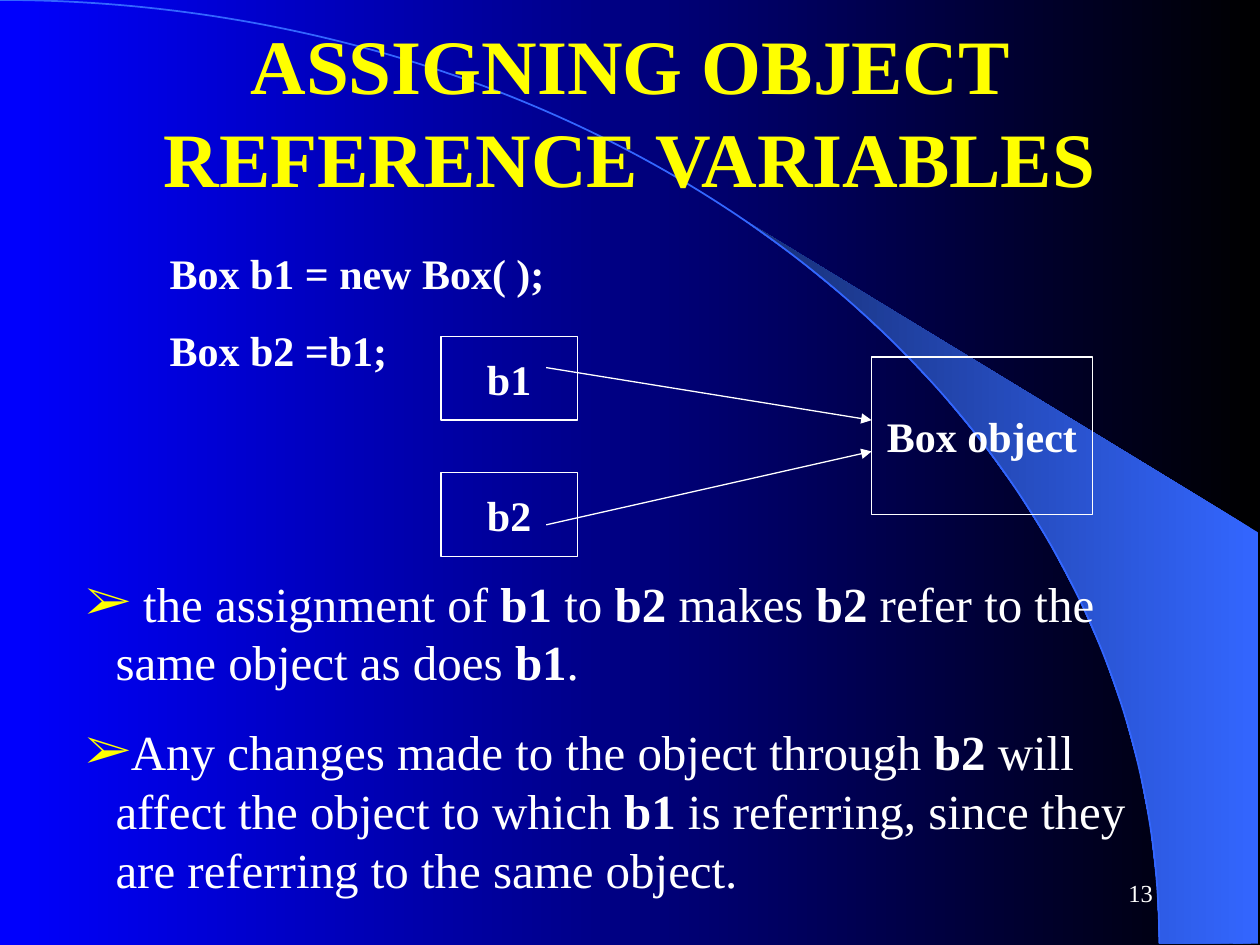
from dataclasses import dataclass
from math import cos, radians, sin

from lxml.etree import SubElement
from pptx import Presentation
from pptx.dml.color import RGBColor
from pptx.enum.shapes import MSO_CONNECTOR, MSO_SHAPE
from pptx.enum.text import MSO_ANCHOR, PP_ALIGN
from pptx.oxml.ns import qn
from pptx.util import Cm, Pt


@dataclass(frozen=True)
class Theme:
    font: str = "Times New Roman"
    black: RGBColor = RGBColor(0x00, 0x00, 0x00)
    blue: RGBColor = RGBColor(0x00, 0x00, 0xFF)
    arc: RGBColor = RGBColor(0x33, 0x66, 0xFF)
    arc_dark: RGBColor = RGBColor(0x17, 0x2F, 0x75)
    yellow: RGBColor = RGBColor(0xFF, 0xFF, 0x00)
    white: RGBColor = RGBColor(0xFF, 0xFF, 0xFF)
    title: Pt = Pt(44)
    body: Pt = Pt(28)
    code: Pt = Pt(24)
    number: Pt = Pt(14)
    thin: Pt = Pt(0.75)


theme = Theme()


def write_text(shape, paragraphs, size, color=theme.white, bold=False, align=PP_ALIGN.LEFT,
               anchor=MSO_ANCHOR.TOP, wrap=True, before=0, bullet=None):
    """Fill a shape with paragraphs; parts between asterisks are bold."""
    frame = shape.text_frame
    frame.word_wrap = wrap
    frame.vertical_anchor = anchor
    for index, text in enumerate(paragraphs):
        para = frame.add_paragraph() if index else frame.paragraphs[0]
        para.alignment = align
        para.space_before = Pt(before)
        if bullet:
            properties = para._p.get_or_add_pPr()
            properties.set("marL", str(Cm(0.6)))
            properties.set("indent", str(-Cm(0.6)))
            bullet_color = SubElement(properties, qn("a:buClr"))
            SubElement(bullet_color, qn("a:srgbClr"), val=str(theme.yellow))
            SubElement(properties, qn("a:buFont"), typeface=theme.font)
            SubElement(properties, qn("a:buChar"), char=bullet)
        for part, words in enumerate(text.split("*")):
            if words:
                span = para.add_run()
                span.text = words
                span.font.name = theme.font
                span.font.size = size
                span.font.color.rgb = color
                span.font.bold = bold or part % 2 == 1


def fill_gradient(fill, right, left):
    fill.gradient()
    fill.gradient_angle = 180
    for stop, color, position in zip(fill.gradient_stops, (right, left), (0, 1)):
        stop.color.rgb = color
        stop.position = position


deck = Presentation()
deck.slide_width, deck.slide_height = Cm(25.4), Cm(19.05)
page = deck.slides.add_slide(deck.slide_layouts[6])
fill_gradient(page.background.fill, theme.black, theme.blue)

# The beam follows the arc from 39.8 degrees down to the bottom edge
arc_width, arc_height = 23.37, 19.02
steps = 14
angles = [radians(39.8 + 50.2 * step / steps) for step in range(steps + 1)]
curve = [(Cm(arc_width * sin(angle)), Cm(arc_height * (1 - cos(angle)))) for angle in angles]
builder = page.shapes.build_freeform(*curve[0])
builder.add_line_segments(curve[1:] + [(Cm(25.37), Cm(arc_height)), (Cm(25.37), Cm(10.74))])
beam = builder.convert_to_shape()
beam.shadow.inherit = False
fill_gradient(beam.fill, theme.arc, theme.arc_dark)
beam.line.fill.background()

arc = page.shapes.add_shape(MSO_SHAPE.ARC, Cm(-arc_width), 0, Cm(2 * arc_width), Cm(2 * arc_height))
arc.shadow.inherit = False
arc.fill.background()
arc.line.color.rgb = theme.arc
arc.line.width = Pt(1)

title = page.shapes.add_textbox(Cm(1.9), Cm(0.63), Cm(21.6), Cm(3.18))
write_text(title, ["ASSIGNING OBJECT REFERENCE VARIABLES"], theme.title, theme.yellow,
           bold=True, align=PP_ALIGN.CENTER, anchor=MSO_ANCHOR.MIDDLE)

code = page.shapes.add_textbox(Cm(3.17), Cm(4.87), Cm(17.58), Cm(2.82))
write_text(code, ["Box b1 = new Box( );", "Box b2 =b1;"], theme.code, bold=True, before=15)

for label, left, top, width, height in (
    ("b1", 8.89, 6.78, 2.75, 1.69),
    ("b2", 8.89, 9.53, 2.75, 1.69),
    ("Box object", 17.57, 7.2, 4.45, 3.18),
):
    box = page.shapes.add_shape(MSO_SHAPE.RECTANGLE, Cm(left), Cm(top), Cm(width), Cm(height))
    box.shadow.inherit = False
    box.fill.background()
    box.line.color.rgb = theme.white
    box.line.width = theme.thin
    write_text(box, [label], theme.code, bold=True, align=PP_ALIGN.CENTER,
               anchor=MSO_ANCHOR.MIDDLE, wrap=False)

for start, end in ((7.41, 8.47), (10.58, 9.1)):
    arrow = page.shapes.add_connector(MSO_CONNECTOR.STRAIGHT, Cm(11.01), Cm(start), Cm(17.57), Cm(end))
    arrow.line.color.rgb = theme.white
    arrow.line.width = theme.thin
    SubElement(arrow.line._get_or_add_ln(), qn("a:tailEnd"), type="triangle")
    SubElement(arrow._element.spPr, qn("a:effectLst"))

remarks = page.shapes.add_textbox(Cm(1.48), Cm(11.43), Cm(22.23), Cm(6.8))
write_text(remarks, [
    " the assignment of *b1* to *b2* makes *b2* refer to the same object as does *b1*.",
    "Any changes made to the object through *b2* will affect the object to which *b1*"
    " is referring, since they are referring to the same object.",
], theme.body, before=17.5, bullet="➢")

number = page.shapes.add_textbox(Cm(18.2), Cm(17.36), Cm(5.29), Cm(1.27))
write_text(number, ["13"], theme.number, align=PP_ALIGN.RIGHT, anchor=MSO_ANCHOR.MIDDLE)

deck.save("out.pptx")
